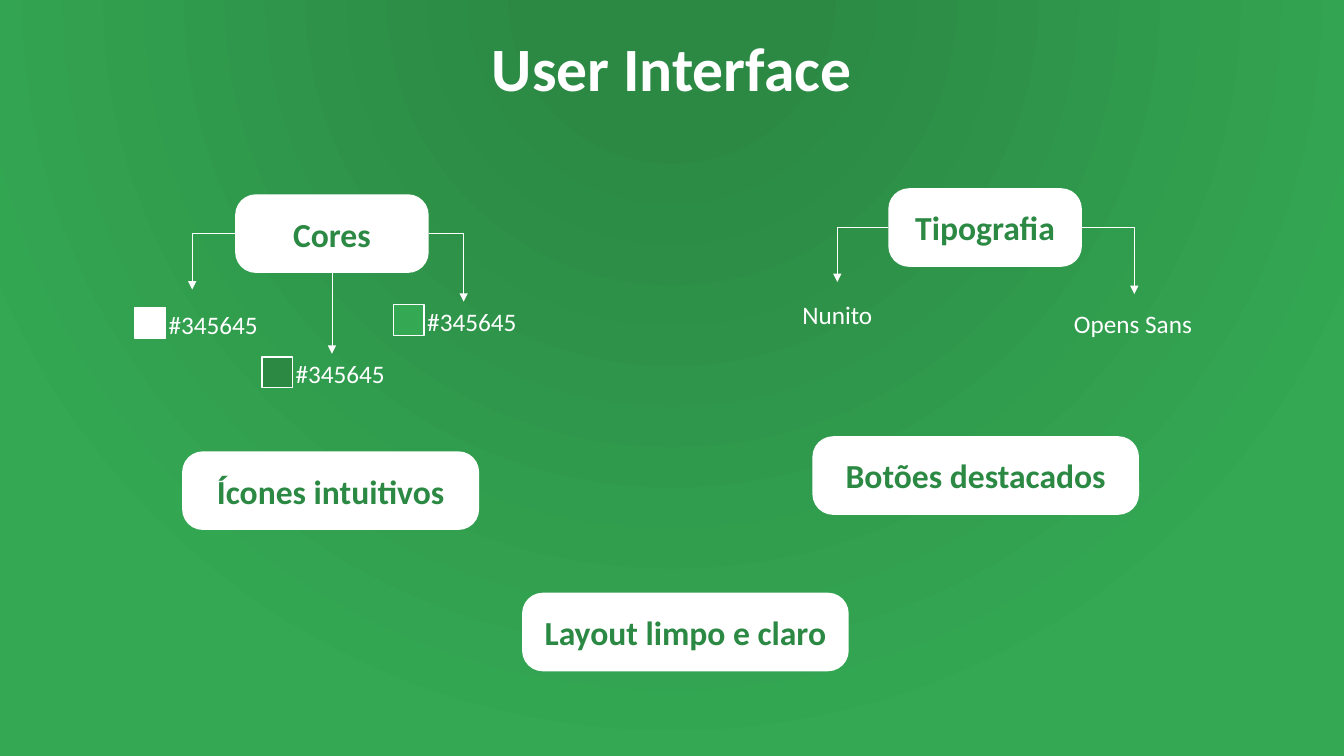
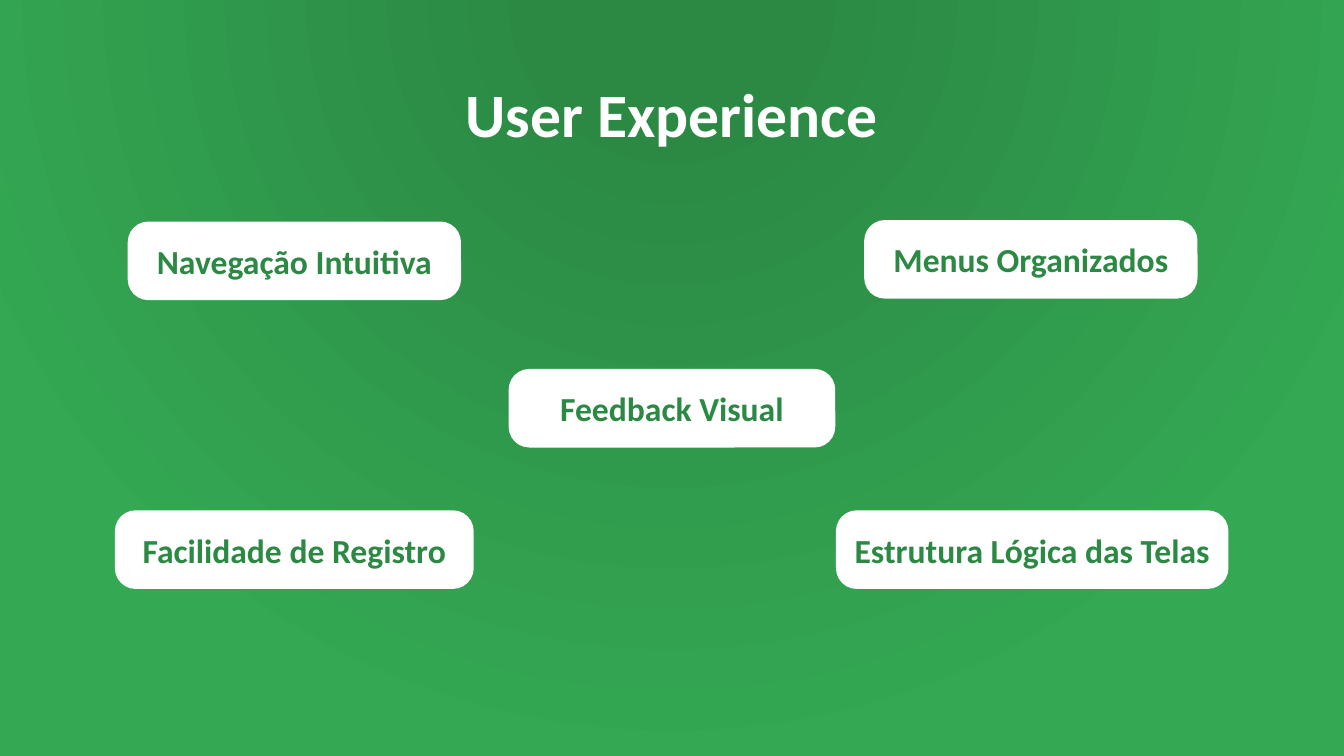
from dataclasses import dataclass

from lxml import etree
from pptx import Presentation
from pptx.dml.color import RGBColor
from pptx.enum.shapes import MSO_CONNECTOR, MSO_SHAPE
from pptx.enum.text import MSO_ANCHOR, PP_ALIGN
from pptx.oxml.ns import qn
from pptx.util import Inches, Pt

ROUNDED, SQUARE = MSO_SHAPE.ROUNDED_RECTANGLE, MSO_SHAPE.RECTANGLE
ELBOW, STRAIGHT = MSO_CONNECTOR.ELBOW, MSO_CONNECTOR.STRAIGHT
MIDDLE, TOP = MSO_ANCHOR.MIDDLE, MSO_ANCHOR.TOP
CENTER, LEFT = PP_ALIGN.CENTER, PP_ALIGN.LEFT


@dataclass(frozen=True)
class Theme:
    font: str = "Calibri"
    white: RGBColor = RGBColor(0xFF, 0xFF, 0xFF)
    dark: RGBColor = RGBColor(0x2B, 0x89, 0x44)
    light: RGBColor = RGBColor(0x34, 0xA8, 0x53)
    title: Pt = Pt(44)
    card: Pt = Pt(24)
    label: Pt = Pt(18)


THEME = Theme()

deck = Presentation()
deck.slide_width, deck.slide_height = Inches(13.33), Inches(7.5)
COL, ROW = deck.slide_width / 100, deck.slide_height / 100


def box(left, top, width, height):
    return int(left * COL), int(top * ROW), int(width * COL), int(height * ROW)


def write(shape, text, size, color, bold=False, align=CENTER, anchor=MIDDLE):
    frame = shape.text_frame
    frame.word_wrap = True
    frame.vertical_anchor = anchor
    paragraph = frame.paragraphs[0]
    paragraph.text = text
    paragraph.alignment = align
    font = paragraph.font
    font.name, font.size, font.bold = THEME.font, size, bold
    font.color.rgb = color


TITLE_WIDTH, TITLE_HEIGHT = 34, 11.2
CARD_HEIGHT, CARD_ROUNDING = 10.4, 0.263
SWATCH_WIDTH, SWATCH_HEIGHT = 2.25, 4.1
LABEL_WIDTH, LABEL_HEIGHT = 11.25, 5.5
CODE_SHIFT, CODE_RISE = 1.75, 0.5

backdrop = deck.slide_master.background.fill
backdrop.gradient()
for stop, position, color in zip(backdrop.gradient_stops, (0.16, 1), (THEME.dark, THEME.light)):
    stop.position = position
    stop.color.rgb = color
gradient = next(deck.slide_master.element.iter(qn("a:gradFill")))
gradient.remove(gradient.find(qn("a:lin")))
glow = etree.SubElement(gradient, qn("a:path"), path="circle")
etree.SubElement(glow, qn("a:fillToRect"), l="50000", t="-80000", r="50000", b="180000")

# title, title top, cards (text, centre, top, width, arrow ends), swatches, typefaces
PAGES = [
    ("User Interface", 3.3, [
        ("Cores", 24.7, 25.7, 14.4, [(34.5, 39.9), (14.3, 38.3), (24.7, 46.8)]),
        ("Tipografia", 73.3, 24.9, 14.4, [(84.4, 38.9), (62.3, 37.3)]),
        ("Ícones intuitivos", 24.6, 59.7, 22.1, []),
        ("Layout limpo e claro", 51, 78.4, 24.3, []),
        ("Botões destacados", 72.6, 57.7, 24.3, []),
    ], [
        ("#345645", THEME.white, 10.05, 40.7),
        ("#345645", THEME.dark, 19.5, 47.2),
        ("#345645", THEME.light, 29.3, 40.3),
    ], [("Nunito", 62.3, 38.9), ("Opens Sans", 84.3, 40.1)]),
    ("User Experience", 9.3, [
        ("Navegação Intuitiva", 21.9, 29.3, 24.8, []),
        ("Facilidade de Registro", 21.9, 67.5, 26.7, []),
        ("Feedback Visual", 50, 48.8, 24.3, []),
        ("Estrutura Lógica das Telas", 76.8, 67.5, 29.2, []),
        ("Menus Organizados", 76.7, 29.1, 24.8, []),
    ], [], []),
]

for title, title_top, cards, swatches, typefaces in PAGES:
    slide = deck.slides.add_slide(deck.slide_layouts[6])
    heading = slide.shapes.add_textbox(*box(50 - TITLE_WIDTH / 2, title_top, TITLE_WIDTH, TITLE_HEIGHT))
    write(heading, title, THEME.title, THEME.white, bold=True)

    for topic, center, top, width, arrow_ends in cards:
        card = slide.shapes.add_shape(ROUNDED, *box(center - width / 2, top, width, CARD_HEIGHT))
        card.adjustments[0] = CARD_ROUNDING
        card.shadow.inherit = False
        card.fill.solid()
        card.fill.fore_color.rgb = THEME.white
        card.line.fill.background()
        write(card, topic, THEME.card, THEME.dark, bold=True)

        for end_x, end_y in arrow_ends:
            side = (end_x > center) - (end_x < center)
            start_x = center + side * width / 2
            start_y = top + CARD_HEIGHT / (2 if side else 1)
            arrow = slide.shapes.add_connector(
                ELBOW if side else STRAIGHT,
                *box(start_x, start_y, end_x, end_y))
            arrow.line.color.rgb = THEME.white
            arrow.line.width = Pt(0.5)
            properties = arrow.element.spPr
            if side:
                properties.find(qn("a:prstGeom")).set("prst", "bentConnector2")
            etree.SubElement(properties.find(qn("a:ln")), qn("a:tailEnd"), type="triangle")
            etree.SubElement(properties, qn("a:effectLst"))

    for code, color, left, top in swatches:
        sample = slide.shapes.add_group_shape().shapes
        swatch = sample.add_shape(SQUARE, *box(left, top, SWATCH_WIDTH, SWATCH_HEIGHT))
        swatch.shadow.inherit = False
        swatch.fill.solid()
        swatch.fill.fore_color.rgb = color
        swatch.line.color.rgb = THEME.white
        swatch.line.width = Pt(1)
        caption = sample.add_textbox(
            *box(left + CODE_SHIFT, top - CODE_RISE, LABEL_WIDTH, LABEL_HEIGHT))
        write(caption, code, THEME.label, THEME.white, align=LEFT, anchor=TOP)

    for typeface, center, top in typefaces:
        specimen = slide.shapes.add_textbox(*box(center - LABEL_WIDTH / 2, top, LABEL_WIDTH, LABEL_HEIGHT))
        write(specimen, typeface, THEME.label, THEME.white, anchor=TOP)

deck.save("out.pptx")
